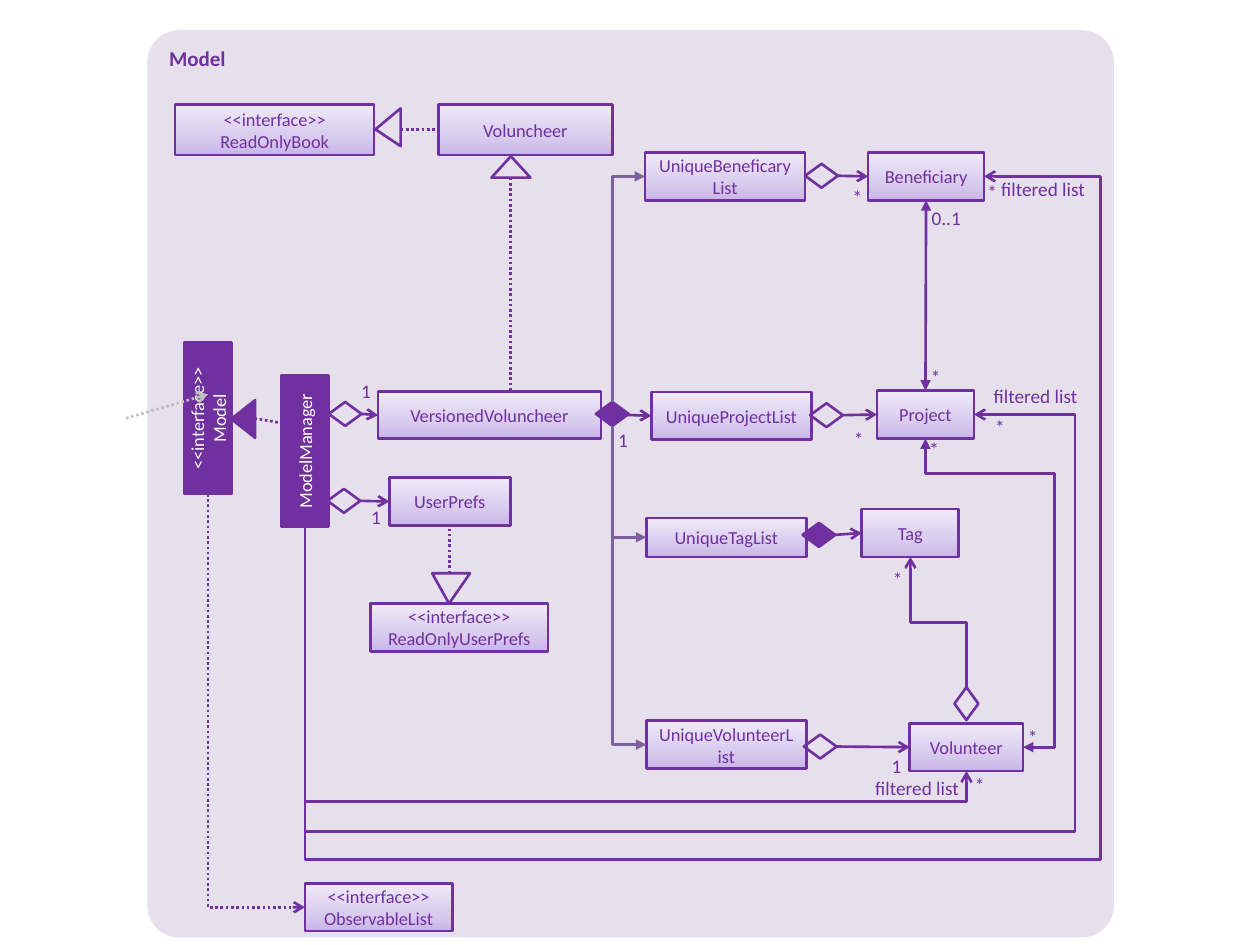
from math import cos, sin, radians
from lxml.etree import SubElement
from pptx import Presentation
from pptx.dml.color import RGBColor
from pptx.enum.dml import MSO_LINE
from pptx.enum.shapes import MSO_CONNECTOR as CONN, MSO_SHAPE as SHAPE
from pptx.enum.text import MSO_ANCHOR as ANCHOR, PP_ALIGN as ALIGN
from pptx.oxml.ns import qn
from pptx.util import Inches, Pt

PURPLE, PANEL, WHITE, GREY, VIOLET = "7030A0", "E6E0EC", "FFFFFF", "BFBFBF", "7D60A0"
STOPS = [(0, "C9B5E8"), (35, "D8CBEE"), (100, "F0EAF9")]
TOP, LEFT, BOTTOM, RIGHT = range(4)
BOX_H = 0.38
DIAMOND = (0.26, 0.19)

BOXES = [
    ("UserPrefs", 3.09, 3.79, 0.96, BOX_H),
    ("VersionedVoluncheer", 3, 3.11, 1.77, 0.37),
    ("Voluncheer", 3.48, 0.83, 1.38, 0.4),
    ("<<interface>>\nReadOnlyBook", 1.39, 0.83, 1.58, 0.4),
    ("<<interface>>\nObservableList", 2.42, 7.01, 1.17, BOX_H),
    ("<<interface>>\nReadOnlyUserPrefs", 2.94, 4.79, 1.41, BOX_H),
    ("UniqueBeneficaryList", 5.12, 1.21, 1.27, BOX_H),
    ("UniqueProjectList", 5.17, 3.11, 1.27, BOX_H),
    ("UniqueTagList", 5.13, 4.11, 1.27, 0.31),
    ("UniqueVolunteerList", 5.13, 5.72, 1.27, BOX_H),
    ("Beneficiary", 6.89, 1.21, 0.92, BOX_H),
    ("Project", 6.96, 3.1, 0.77, BOX_H),
    ("Tag", 6.84, 4.04, 0.77, BOX_H),
    ("Volunteer", 7.22, 5.74, 0.9, BOX_H),
]
UPRIGHT_BOXES = [
    ("ModelManager", 1.82, 3.39, 1.2, BOX_H),
    ("<<interface>>\nModel", 1.05, 3.13, 1.2, BOX_H),
]
DIAMONDS = [
    ("has prefs", 2.6, 3.88, None, 0),
    ("has versions", 2.61, 3.19, None, 0),
    ("has lists", 4.73, 3.19, PURPLE, 0),
    ("has beneficiaries", 6.39, 1.3, None, 0),
    ("has projects", 6.43, 3.2, None, 0),
    ("has tags", 6.37, 4.15, PURPLE, 0),
    ("has volunteers", 6.38, 5.83, None, 0),
    ("has volunteer tags", 7.54, 5.49, None, 90),
]
TRIANGLES = [
    (1.78, 3.23, 0.3, 0.19, PURPLE, 270, 0.5),
    (3.9, 1.24, 0.31, 0.17, PANEL, 0, 0.5),
    (2.93, 0.91, 0.3, 0.2, PANEL, 270, 0.445),
    (3.43, 4.55, 0.3, 0.24, PANEL, 180, 0.555),
]
ARROW = dict(tail="arrow")
DOTS = dict(dash=MSO_LINE.ROUND_DOT)
LIST_LINK = dict(color=VIOLET, tail="triangle")
BOTH_ENDS = dict(head="triangle", tail="triangle")
STRAIGHTS = [
    (("has prefs", RIGHT), ("UserPrefs", LEFT), ARROW),
    (("has versions", RIGHT), ("VersionedVoluncheer", LEFT), ARROW),
    (("has lists", LEFT), ("UniqueProjectList", LEFT), ARROW),
    (("has beneficiaries", RIGHT), ("Beneficiary", LEFT), ARROW),
    (("has projects", RIGHT), ("Project", LEFT), ARROW),
    (("has tags", RIGHT), ("Tag", LEFT), ARROW),
    (("has volunteers", RIGHT), ("Volunteer", LEFT), ARROW),
    (("Beneficiary", BOTTOM), ("Project", TOP), BOTH_ENDS),
    ((1, 3.32), ("Model", LEFT), dict(color=GREY, **DOTS, **ARROW)),
    ((2.02, 3.32), ("ModelManager", LEFT), DOTS),
    ((4.05, 1.41), (4.05, 3.11), DOTS),
    ((3.18, 1.03), ("Voluncheer", LEFT), DOTS),
    ((3.57, 4.55), ("UserPrefs", BOTTOM), DOTS),
]
ELBOWS = [
    (("ModelManager", BOTTOM), ("Volunteer", BOTTOM), [6.36], ARROW),
    (("ModelManager", BOTTOM), ("Project", RIGHT), [6.6, 8.53], ARROW),
    (("ModelManager", BOTTOM), ("Beneficiary", RIGHT), [6.82, 8.73], ARROW),
    (("Model", BOTTOM), ("ObservableList", LEFT), [], dict(**DOTS, **ARROW)),
    (("has lists", TOP), ("UniqueBeneficaryList", LEFT), [], LIST_LINK),
    (("has lists", BOTTOM), ("UniqueTagList", LEFT), [], LIST_LINK),
    (("has lists", BOTTOM), ("UniqueVolunteerList", LEFT), [], LIST_LINK),
    (("has volunteer tags", TOP), ("Tag", BOTTOM), [4.94], ARROW),
    (("Project", BOTTOM), ("Volunteer", RIGHT), [3.76, 8.37], BOTH_ENDS),
]
COUNTS = [
    ("1", 4.84, 3.4), ("1", 2.8, 3.01), ("1", 2.88, 4.01), ("1", 7.01, 5.99),
    ("*", 6.71, 3.39), ("*", 6.7, 1.47), ("*", 7.67, 6.14), ("*", 7.02, 4.5),
    ("*", 7.83, 3.3), ("*", 7.77, 1.43), ("*", 7.32, 2.9), ("*", 8.09, 5.76),
    ("*", 7.31, 3.47),
]
FILTERED = [(6.75, 6.11), (7.69, 3), (7.75, 1.36)]

prs = Presentation()
prs.slide_width, prs.slide_height = Inches(10), Inches(7.5)
s = prs.slides.add_slide(prs.slide_layouts[6])
nodes = {}


def rgb(value):
    return RGBColor.from_string(value)


def write(sp, text, size=10.5, color=PURPLE, bold=False, align=ALIGN.CENTER,
          anchor=ANCHOR.MIDDLE, inset=None):
    tf = sp.text_frame
    tf.text = text
    tf.word_wrap = True
    tf.vertical_anchor = anchor
    if inset is not None:
        tf.margin_left = tf.margin_right = tf.margin_top = tf.margin_bottom = Inches(inset)
    for p in tf.paragraphs:
        p.alignment = align
        for r in p.runs:
            r.font.name, r.font.size, r.font.bold = "Calibri", Pt(size), bold
            r.font.color.rgb = rgb(color)


def shape(kind, x, y, w, h, fill=None, line=PURPLE, rot=0):
    sp = s.shapes.add_shape(kind, Inches(x), Inches(y), Inches(w), Inches(h))
    sp.shadow.inherit = False
    sp.rotation = rot
    if fill:
        sp.fill.solid()
        sp.fill.fore_color.rgb = rgb(fill)
    else:
        sp.fill.background()
    if line:
        sp.line.color.rgb, sp.line.width = rgb(line), Pt(1.5)
    else:
        sp.line.fill.background()
    return sp


def shade(sp):
    sp.fill.gradient()
    sp.fill.gradient_angle = 90
    stops = sp._element.spPr.find(qn("a:gradFill")).find(qn("a:gsLst"))
    for gs in list(stops):
        stops.remove(gs)
    for pos, color in STOPS:
        gs = SubElement(stops, qn("a:gs"), pos=str(pos * 1000))
        SubElement(gs, qn("a:srgbClr"), val=color)


def locate(ref):
    if ref[0] not in nodes:
        return ref
    sp, x, y, w, h, rot = nodes[ref[0]]
    across, down = (h, w) if rot % 180 else (w, h)
    dx, dy = [(0, -1), (-1, 0), (0, 1), (1, 0)][ref[1]]
    return x + w / 2 + dx * across / 2, y + h / 2 + dy * down / 2


def connect(start, end, kind, color=PURPLE, dash=None, head=None, tail=None):
    points = [Inches(v) for v in (*locate(start), *locate(end))]
    c = s.shapes.add_connector(kind, *points)
    for ref, join in ((start, c.begin_connect), (end, c.end_connect)):
        if ref[0] in nodes:
            sp, *_, rot = nodes[ref[0]]
            join(sp, (ref[1] + rot // 90) % 4)
    c.line.color.rgb, c.line.width = rgb(color), Pt(1.5)
    if dash:
        c.line.dash_style = dash
    ln = c.line._get_or_add_ln()
    for tag, arrow in (("a:headEnd", head), ("a:tailEnd", tail)):
        if arrow:
            SubElement(ln, qn(tag), type=arrow)
    SubElement(c._element.spPr, qn("a:effectLst"))
    return c


def elbow(start, end, turns, **style):
    c = connect(start, end, CONN.ELBOW, **style)
    (x1, y1), (x2, y2) = locate(start), locate(end)
    dx, dy = x2 - x1, y2 - y1
    angle = (RIGHT - start[1]) * 90
    ca, sa = cos(radians(angle)), sin(radians(angle))
    u, v = ca * dx + sa * dy, ca * dy - sa * dx
    xfrm = c._element.spPr.find(qn("a:xfrm"))
    xfrm.attrib.clear()
    xfrm.set("rot", str(angle * 60000))
    for flip, extent in (("flipH", u), ("flipV", v)):
        if extent < 0:
            xfrm.set(flip, "1")
    c.width, c.height = Inches(abs(u)), Inches(abs(v))
    c.left, c.top = Inches((x1 + x2 - abs(u)) / 2), Inches((y1 + y2 - abs(v)) / 2)
    geom = c._element.spPr.find(qn("a:prstGeom"))
    geom.set("prst", f"bentConnector{len(turns) + 2}")
    for i, (turn, origin, span) in enumerate(zip(turns, (y1, x1), (dy, dx)), 1):
        share = round((turn - origin) / span * 100000)
        SubElement(geom.find(qn("a:avLst")), qn("a:gd"), name=f"adj{i}", fmla=f"val {share}")


panel = shape(SHAPE.ROUNDED_RECTANGLE, 1.17, 0.24, 7.67, 7.2, PANEL, None)
panel.adjustments[0] = 0.035
write(panel, "Model", size=12, bold=True, align=ALIGN.LEFT, anchor=ANCHOR.TOP)

for boxes, rot, color in ((BOXES, 0, PURPLE), (UPRIGHT_BOXES, 270, WHITE)):
    for text, *place in boxes:
        sp = shape(SHAPE.RECTANGLE, *place, fill=PURPLE, rot=rot)
        if not rot:
            shade(sp)
        write(sp, text, color=color)
        nodes[text.split("\n")[-1]] = (sp, *place, rot)

for name, x, y, fill, rot in DIAMONDS:
    sp = shape(SHAPE.FLOWCHART_DECISION, x, y, *DIAMOND, fill=fill, rot=rot)
    nodes[name] = (sp, x, y, *DIAMOND, rot)

for x, y, w, h, fill, rot, apex in TRIANGLES:
    shape(SHAPE.ISOSCELES_TRIANGLE, x, y, w, h, fill, rot=rot).adjustments[0] = apex

for start, end, style in STRAIGHTS:
    connect(start, end, CONN.STRAIGHT, **style)
for start, end, turns, style in ELBOWS:
    elbow(start, end, turns, **style)

labels = [(text, x, y, 0.21, 0.2, ALIGN.CENTER, 0) for text, x, y in COUNTS]
labels.append(("0..1", 7.31, 1.64, 0.4, 0.19, ALIGN.CENTER, 0))
labels += [("filtered list", x, y, 0.96, 0.29, ALIGN.RIGHT, None) for x, y in FILTERED]
for text, x, y, w, h, align, inset in labels:
    sp = s.shapes.add_textbox(Inches(x), Inches(y), Inches(w), Inches(h))
    write(sp, text, size=11, align=align, anchor=ANCHOR.TOP, inset=inset)

prs.save("out.pptx")
